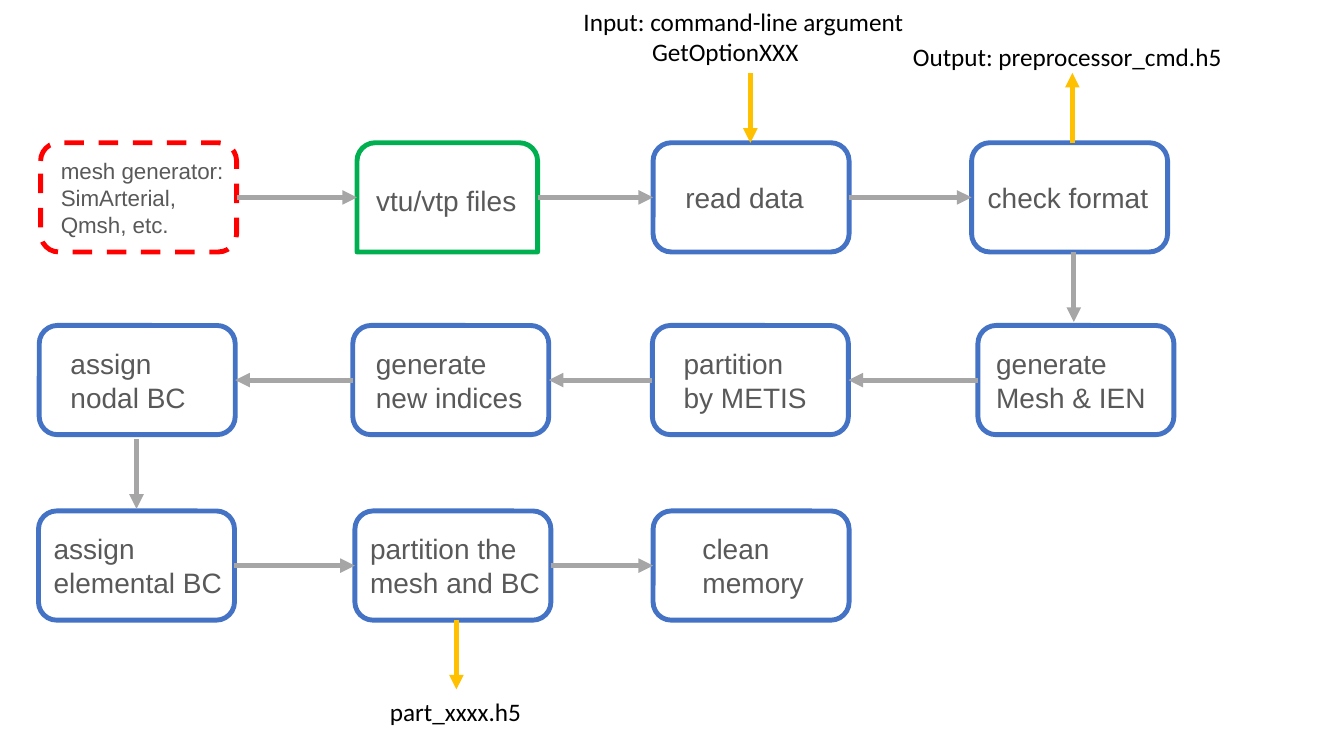
import pptx
import pptx.dml.color
import pptx.enum.dml
import pptx.enum.shapes
import pptx.enum.text
import pptx.oxml
import pptx.oxml.ns
import pptx.util

Pt = pptx.util.Pt
SHAPE = pptx.enum.shapes.MSO_SHAPE
ANCHOR = pptx.enum.text.MSO_ANCHOR
BLUE, GREEN, RED = "4472C4", "00B050", "FF0000"
GREY, AMBER, TEXT, BLACK = "A6A6A6", "FFC000", "595959", "000000"
BOX_W, BOX_H = 140, 78
CORNER_INSET = 3.8


def rgb(color):
    return pptx.dml.color.RGBColor.from_string(color)


class FlowSlide:
    line_width = 3.5

    def __init__(self, slide):
        self.slide = slide

    def set_text(self, tf, text, size, font, color):
        tf.text = text
        for p in tf.paragraphs:
            p.alignment = pptx.enum.text.PP_ALIGN.LEFT
            for r in p.runs:
                r.font.size = Pt(size)
                r.font.name = font
                r.font.color.rgb = rgb(color)

    def box(self, x, y, text, indent, color=BLUE, w=BOX_W, size=20,
            kind=SHAPE.ROUNDED_RECTANGLE, dashed=False):
        sp = self.slide.shapes.add_shape(kind, Pt(x), Pt(y), Pt(w), Pt(BOX_H))
        sp.shadow.inherit = False
        sp.fill.background()
        sp.line.color.rgb = rgb(color)
        sp.line.width = Pt(self.line_width)
        if dashed:
            sp.line.dash_style = pptx.enum.dml.MSO_LINE.DASH
        tf = sp.text_frame
        tf.word_wrap = True
        tf.vertical_anchor = ANCHOR.MIDDLE
        tf.margin_left = Pt(indent - CORNER_INSET)
        tf.margin_right = tf.margin_top = tf.margin_bottom = 0
        self.set_text(tf, text, size, "Arial", TEXT)

    def label(self, x, y, w, h, text):
        sp = self.slide.shapes.add_textbox(Pt(x), Pt(y), Pt(w), Pt(h))
        sp.text_frame.word_wrap = False
        self.set_text(sp.text_frame, text, 18, "Calibri", BLACK)
        return sp

    def arrow(self, x1, y1, x2, y2, color=GREY):
        sp = self.slide.shapes.add_connector(
            pptx.enum.shapes.MSO_CONNECTOR.STRAIGHT, Pt(x1), Pt(y1), Pt(x2), Pt(y2))
        sp.line.color.rgb = rgb(color)
        sp.line.width = Pt(self.line_width)
        spPr = sp._element.spPr
        ns = pptx.oxml.ns.nsdecls("a")
        ln = spPr.find(pptx.oxml.ns.qn("a:ln"))
        ln.append(pptx.oxml.parse_xml(f'<a:tailEnd {ns} type="triangle"/>'))
        spPr.append(pptx.oxml.parse_xml(f"<a:effectLst {ns}/>"))


def main():
    prs = pptx.Presentation()
    prs.slide_width, prs.slide_height = Pt(960), Pt(540)
    s = FlowSlide(prs.slides.add_slide(prs.slide_layouts[6]))

    source = dict(color=RED, size=16, dashed=True)
    files = dict(color=GREEN, w=129, kind=SHAPE.ROUND_2_SAME_RECTANGLE)
    rows = [
        (102, [(29, "mesh generator:\nSimArterial,\nQmsh, etc.", 14.4, source),
               (255, "vtu/vtp files", 13.7, files),
               (466.5, "read data", 23, {}),
               (694, "check format", 11.5, {})]),
        (232.5, [(698.5, "generate\nMesh & IEN", 13, {}),
                 (466, "partition\nby METIS", 22.3, {}),
                 (252, "generate\nnew indices", 16.5, {}),
                 (28, "assign\nnodal BC", 22.3, {})]),
        (365, [(27.5, "assign\nelemental BC", 10.8, {}),
               (253.5, "partition the\nmesh and BC", 10.8, {}),
               (466.5, "clean\nmemory", 35.3, {})]),
    ]
    for y, steps in rows:
        for x, text, indent, style in steps:
            s.box(x, y, text, indent, **style)
        mid = y + BOX_H / 2
        for (x1, _, _, style), (x2, _, _, next_style) in zip(steps, steps[1:]):
            if x1 < x2:
                s.arrow(x1 + style.get("w", BOX_W), mid, x2, mid)
            else:
                s.arrow(x1, mid, x2 + next_style.get("w", BOX_W), mid)

    s.arrow(767, 180, 767, 230)
    s.arrow(97.5, 313.5, 97.5, 363.5)
    s.arrow(536, 52, 536, 102, AMBER)
    s.arrow(766, 102, 766, 52, AMBER)
    s.arrow(326, 443, 326, 492.5, AMBER)

    sp = s.label(409.7, 0.7, 245.5, 51, "Input: command-line argument\nGetOptionXXX")
    sp.text_frame.paragraphs[1]._p.get_or_add_pPr().set("marL", str(Pt(49)))
    s.label(645, 26, 237.6, 29, "Output: preprocessor_cmd.h5")
    s.label(271.4, 494, 108.7, 29, "part_xxxx.h5")
    prs.save("out.pptx")


if __name__ == "__main__":
    main()
